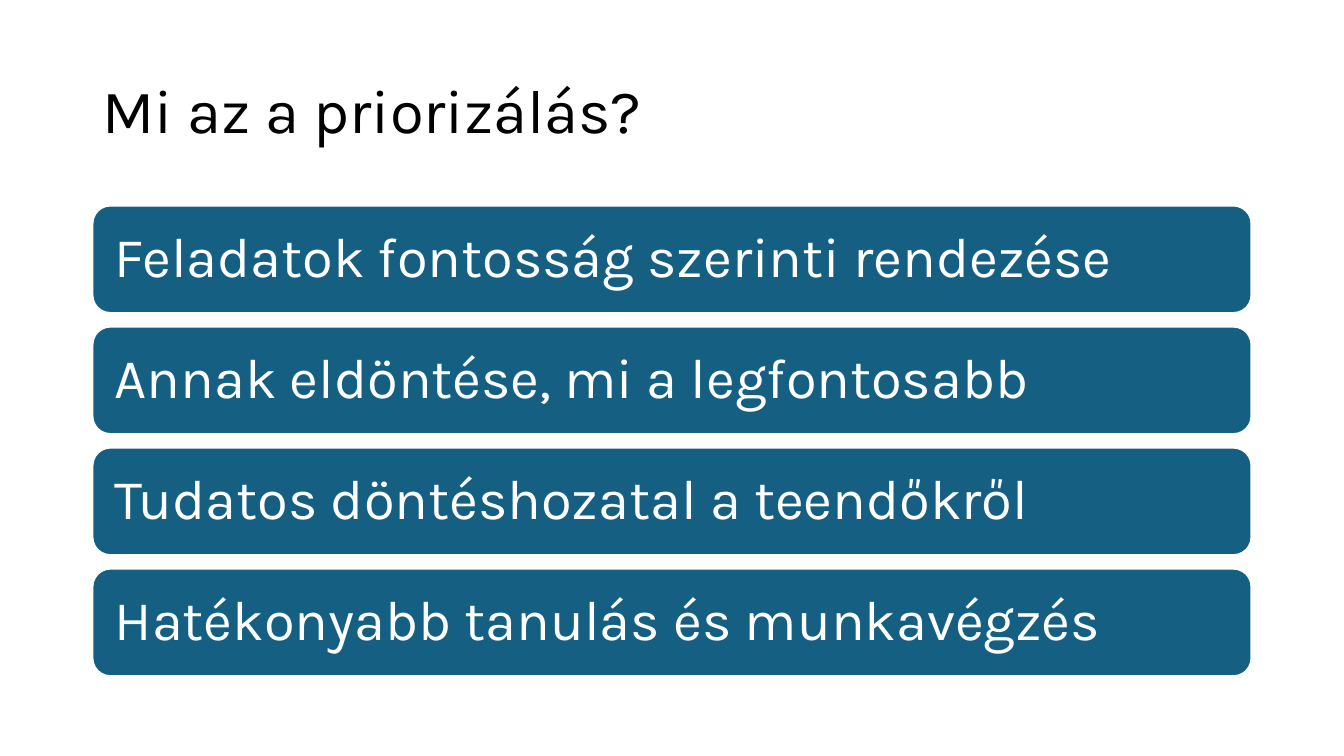
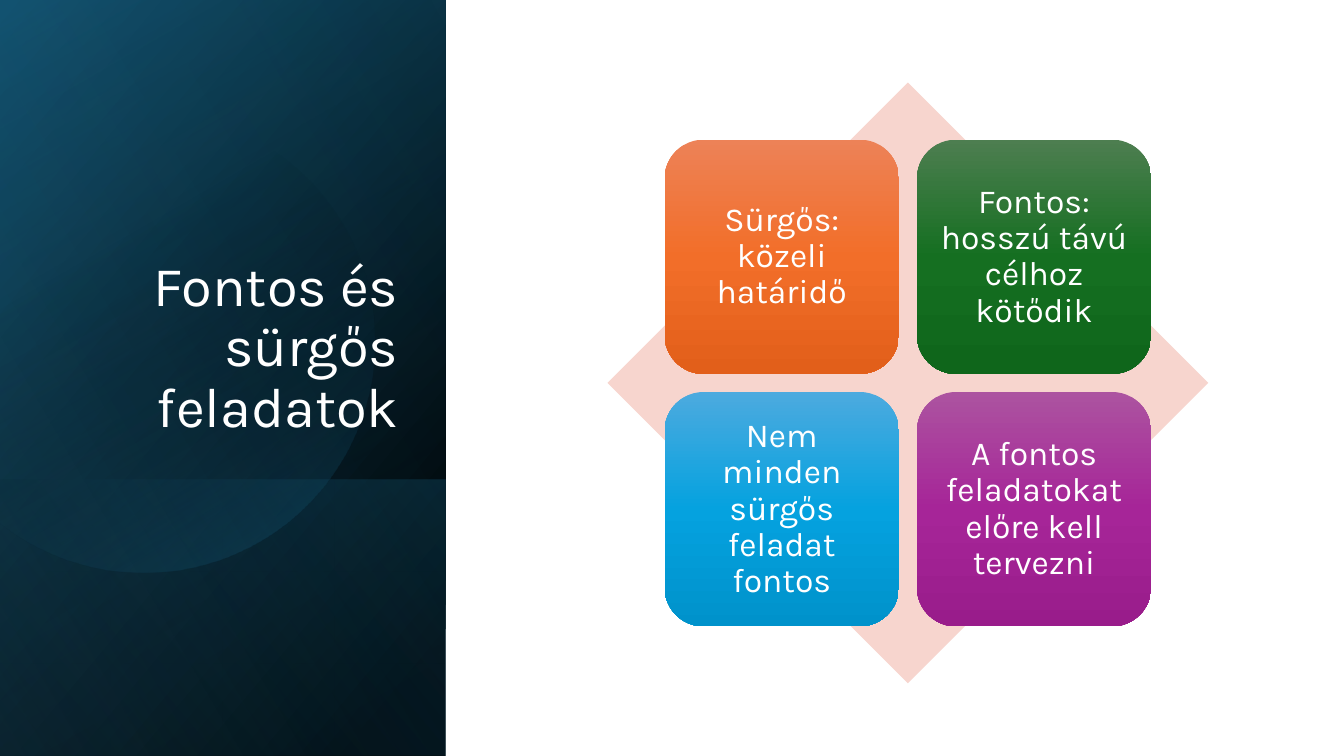
from math import acos, cos, pi, sin

from lxml import etree
from pptx import Presentation
from pptx.dml.color import RGBColor
from pptx.enum.shapes import MSO_SHAPE as Shp
from pptx.enum.text import MSO_ANCHOR as Anc, PP_ALIGN as Al
from pptx.oxml.ns import nsdecls, qn
from pptx.util import Cm, Pt

# Shared look
FONT = "Karla"
WHITE, BLACK, BLUE, SKY, PINK = "FFFFFF", "000000", "156082", "46B1E1", "F7D5CE"
WIDE, HIGH = 33.87, 19.05
SIDES = ("margin_left", "margin_top", "margin_right", "margin_bottom")


def color(code):
    return RGBColor.from_string(code)


def assign(item, **vals):
    for name, val in vals.items():
        setattr(item, name, val)


def shade(shape, stops, angle):
    """Gradient fill; each stop is (place %, colour, opacity %)."""
    shape.fill.background()
    marks = "".join(
        f'<a:gs pos="{at * 1000}"><a:srgbClr val="{code}">'
        f'<a:alpha val="{alpha * 1000}"/></a:srgbClr></a:gs>'
        for at, code, alpha in stops)
    grad = etree.fromstring(
        f'<a:gradFill {nsdecls("a")} rotWithShape="1"><a:gsLst>{marks}</a:gsLst>'
        f'<a:lin ang="{angle * 60000}" scaled="0"/></a:gradFill>')
    props = shape.element.spPr
    props.replace(props.find(qn("a:noFill")), grad)


def clean(shape, fill=None):
    shape.shadow.inherit = False
    shape.line.fill.background()
    if fill:
        shape.fill.solid()
        shape.fill.fore_color.rgb = color(fill)
    return shape


def form(slide, kind, box, fill=None):
    return clean(slide.shapes.add_shape(kind, *map(Cm, box)), fill)


def write(shape, text, size, ink=WHITE, align=Al.LEFT, anchor=Anc.MIDDLE, pad=0.25):
    frame = shape.text_frame
    assign(frame, word_wrap=True, vertical_anchor=anchor,
           **dict.fromkeys(SIDES, Cm(pad)))
    para = frame.paragraphs[0]
    assign(para, text=text, alignment=align, line_spacing=0.9)
    assign(para.runs[0].font, name=FONT, size=Pt(size))
    para.runs[0].font.color.rgb = color(ink)


def title(slide, box, text, size, **style):
    write(slide.shapes.add_textbox(*map(Cm, box)), text, size, **style)


def bars(slide, box, texts):
    """Equal bars stacked down the box."""
    left, top, width, height = box
    gap = 0.34
    tall = (height - gap * (len(texts) - 1)) / len(texts)
    for i, text in enumerate(texts):
        bar = form(slide, Shp.ROUNDED_RECTANGLE,
                   (left, top + i * (tall + gap), width, tall), BLUE)
        bar.line.color.rgb = color(WHITE)
        bar.line.width = Pt(1.5)
        write(bar, text, 40, pad=0.43)


def disc(slide, x, y, radius):
    """Circle cut off at the slide's left edge."""
    end = acos(-x / radius)
    turns = [end * (i / 60 - 1) for i in range(121)]
    dots = [(Cm(x + radius * cos(t)), Cm(y + radius * sin(t))) for t in turns]
    path = slide.shapes.build_freeform(*dots[0])
    path.add_line_segments(dots[1:], close=True)
    shade(clean(path.convert_to_shape()), [(29, BLACK, 0), (100, BLUE, 43)], 60)


def panel(slide, box):
    """Dark side panel made of layered gradients."""
    left, top, width, height = box
    foot = 6.96

    def layer(area, stops, angle):
        shade(form(slide, Shp.RECTANGLE, area), stops, angle)

    layer(box, [(8, BLACK, 100), (100, "104862", 100)], 220)
    layer(box, [(0, BLACK, 0), (99, BLUE, 46)], 240)
    layer((left, top + height - foot, width, foot),
          [(2, BLUE, 29), (100, BLACK, 30)], 140)
    disc(slide, left + 3.63, top + 8.6, 5.82)
    layer(box, [(0, BLACK, 0), (99, SKY, 11)], 150)


def matrix(slide, box, cards):
    """Diamond with four cards in two rows."""
    left, top, size, _ = box
    form(slide, Shp.DIAMOND, box, PINK)
    for i, (text, tones) in enumerate(cards):
        row, col = divmod(i, 2)
        spot = (left + size * (0.095 + 0.42 * col),
                top + size * (0.095 + 0.42 * row))
        card = form(slide, Shp.ROUNDED_RECTANGLE, (*spot, size * 0.39, size * 0.39))
        shade(card, [(50 * n, tone, 100) for n, tone in enumerate(tones)], 90)
        write(card, text, 24, align=Al.CENTER)


def main():
    deck = Presentation()
    assign(deck, slide_width=Cm(WIDE), slide_height=Cm(HIGH))
    blank = deck.slide_layouts[6]

    # Definition slide
    slide = deck.slides.add_slide(blank)
    title(slide, (2.33, 1.02, 29.21, 3.68), "Mi az a priorizálás?", 44, ink=BLACK)
    bars(slide, (2.33, 5.18, 29.21, 11.86), [
        "Feladatok fontosság szerinti rendezése",
        "Annak eldöntése, mi a legfontosabb",
        "Tudatos döntéshozatal a teendőkről",
        "Hatékonyabb tanulás és munkavégzés",
    ])

    # Matrix slide
    slide = deck.slides.add_slide(blank)
    panel(slide, (0, 0, 11.23, HIGH))
    title(slide, (1.63, 4.67, 8.66, 6.65), "Fontos és sürgős feladatok", 40,
          align=Al.RIGHT, anchor=Anc.BOTTOM)
    matrix(slide, (15.31, 2.08, 15.14, 15.14), [
        ("Sürgős: közeli határidő", ("ED8257", "F26E29", "E25F1A")),
        ("Fontos: hosszú távú célhoz kötődik", ("4D7E50", "156F21", "0F661B")),
        ("Nem minden sürgős feladat fontos", ("4CAADF", "05A2DF", "0092CB")),
        ("A fontos feladatokat előre kell tervezni", ("AC53A0", "A62598", "991C8B")),
    ])
    deck.save("out.pptx")


if __name__ == "__main__":
    main()
